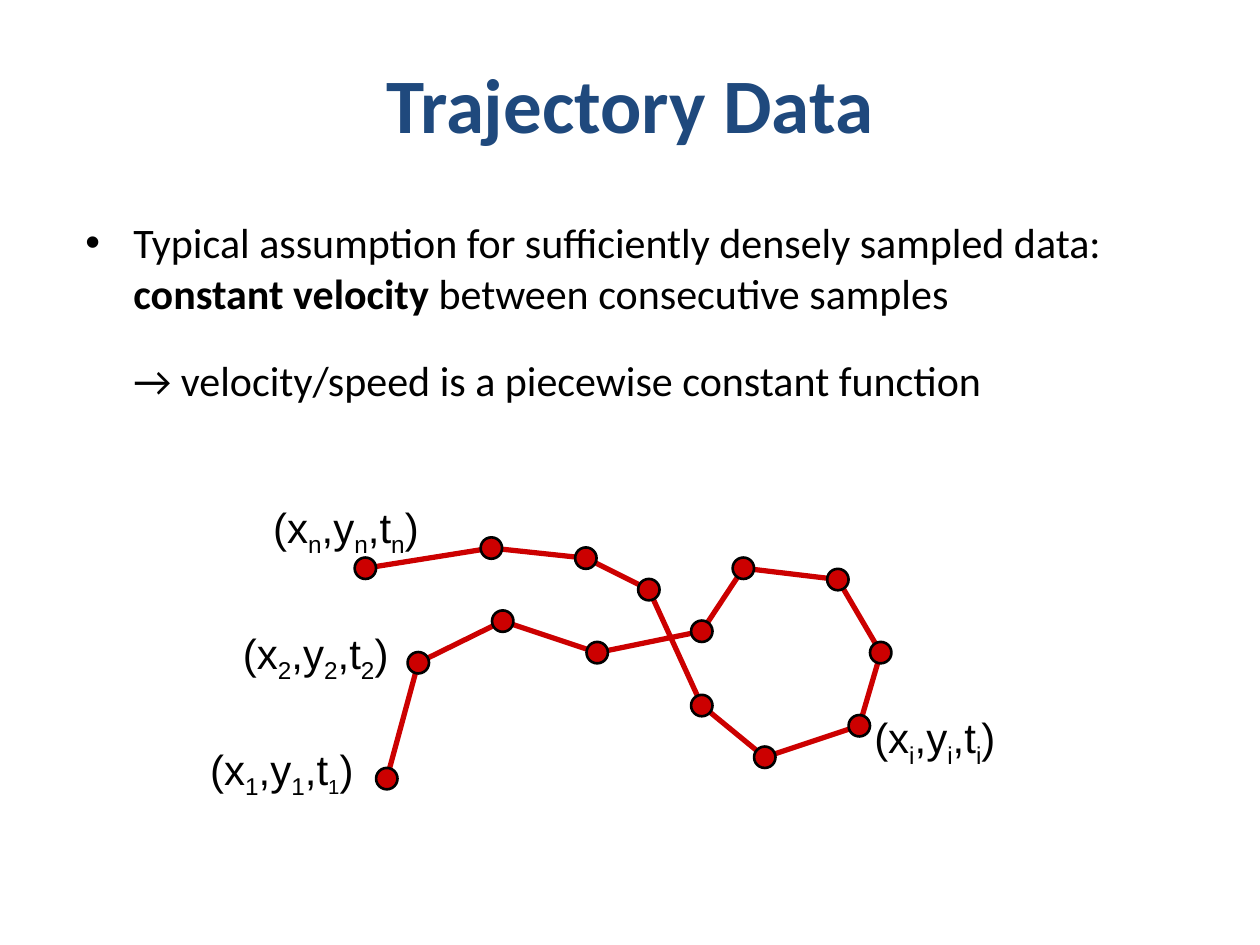
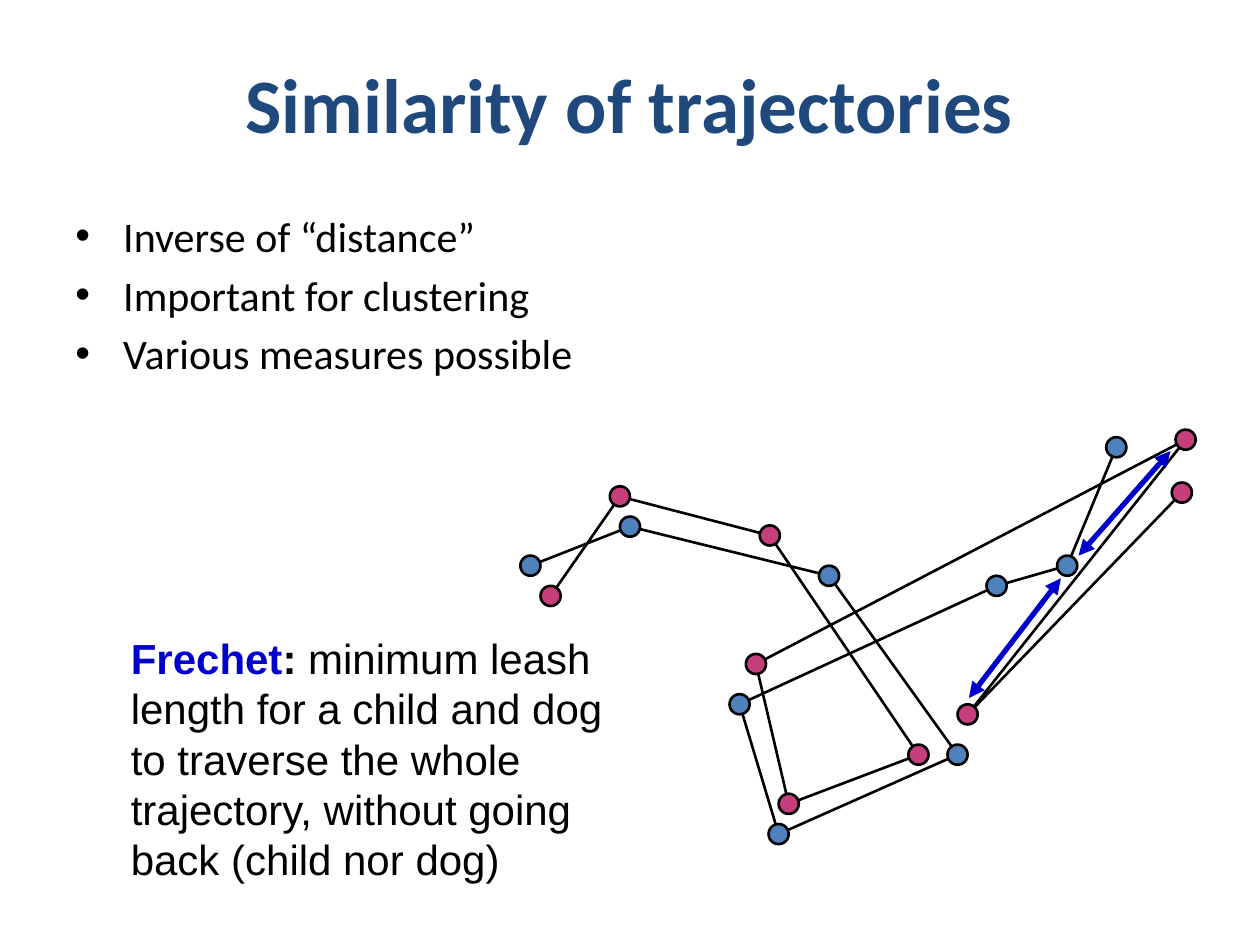
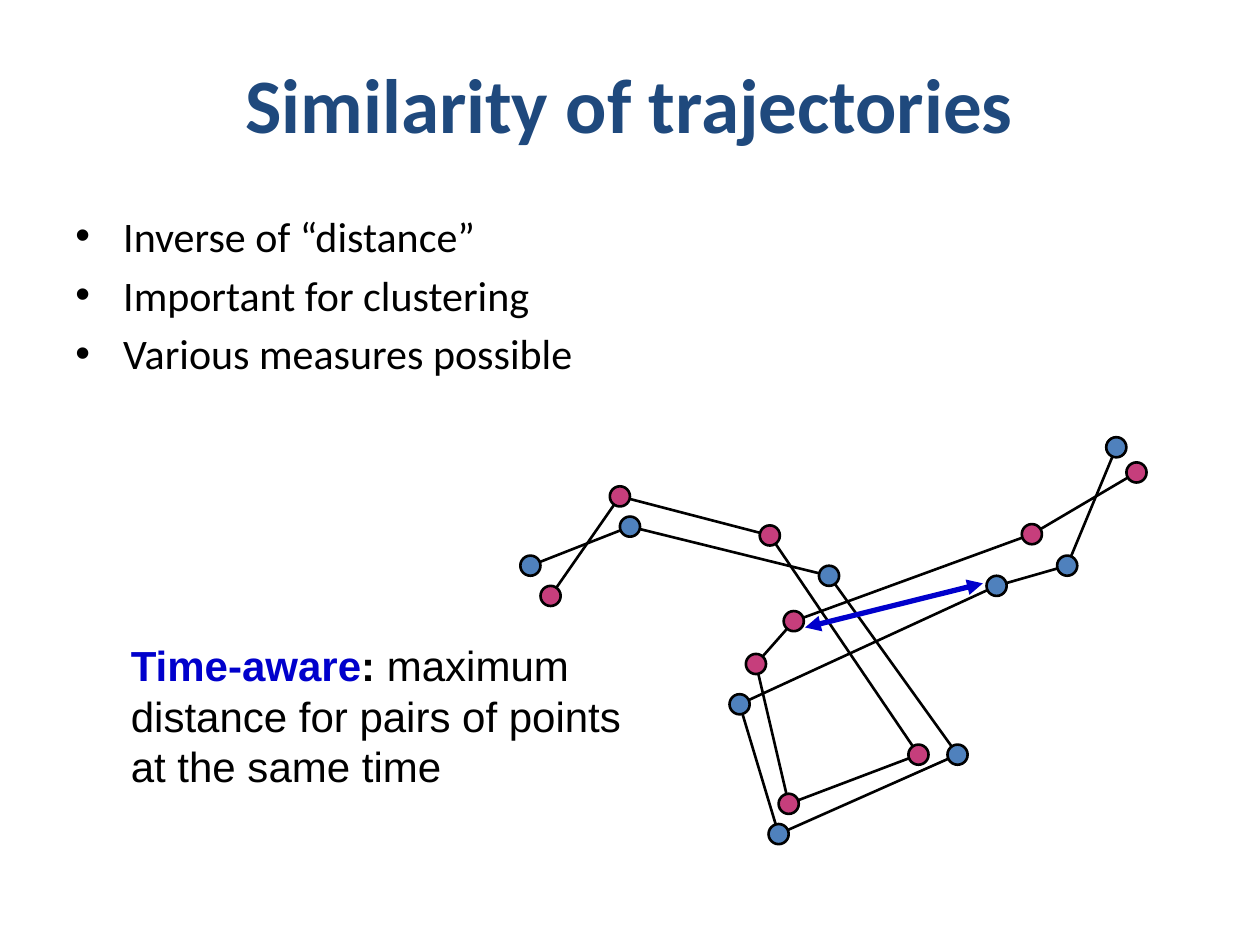
"""Build three slides on trajectory data and trajectory similarity."""
from pptx import Presentation
from pptx.dml.color import RGBColor
from pptx.enum import shapes, text
from pptx.oxml import ns
from pptx.util import Inches, Pt
from lxml import etree

NAVY, BLACK, RED = "1F497D", "000000", "CC0000"
BLUE, PINK, ACCENT = "4F81BD", "C63E7C", "0000CC"
HEADING, LABEL = "Calibri", "Arial"
BODY_SIZE, INDENT = 24, 0.38
SIMILARITY = ["Inverse of “distance”", "Important for clustering",
              "Various measures possible"]

SAMPLES = [(3.07, 6.18), (3.32, 5.26), (3.99, 4.93), (4.74, 5.18), (5.57, 5.01),
           (5.9, 4.51), (6.65, 4.6), (6.99, 5.18), (6.82, 5.76), (6.07, 6.01),
           (5.57, 5.6), (5.15, 4.68), (4.65, 4.43), (3.9, 4.35), (2.9, 4.51)]
CHILD = [(4.21, 4.49), (5, 4.18), (6.58, 4.57), (7.6, 5.99), (6.18, 6.62),
         (5.87, 5.59), (7.91, 4.65), (8.47, 4.49), (8.86, 3.55)]
DOG_START = [(4.37, 4.73), (4.92, 3.94), (6.11, 4.25), (7.29, 5.99),
             (6.26, 6.38), (6, 5.27)]
DOG_FRECHET = DOG_START + [(9.41, 3.49), (7.68, 5.67), (9.38, 3.91)]
DOG_TIMED = DOG_START + [(6.3, 4.93), (8.19, 4.24), (9.02, 3.75)]


def rgb(color):
    """Turn a hex string into a colour."""
    return RGBColor.from_string(color)


def style(font, name, size, color=BLACK, bold=False):
    """Format a font."""
    font.name, font.size, font.bold = name, Pt(size), bold
    font.color.rgb = rgb(color)


def outline(sp, color, width):
    """Set the line of a shape or connector."""
    sp.line.color.rgb = rgb(color)
    sp.line.width = Pt(width)


def add_run(p, words, name, color=BLACK, bold=False):
    """Append a formatted run and return it."""
    r = p.add_run()
    r.text = words
    style(r.font, name, BODY_SIZE, color, bold)
    return r


def add_slide(prs, title):
    """Add a title-only slide with the shared title style."""
    s = prs.slides.add_slide(prs.slide_layouts[5])
    sp = s.shapes.title
    sp.left, sp.top, sp.width, sp.height = map(Inches, (0.5, 0.3, 9, 1.03))
    tf = sp.text_frame
    tf.text = title
    tf.auto_size = text.MSO_AUTO_SIZE.NONE
    tf.vertical_anchor = text.MSO_ANCHOR.MIDDLE
    p = tf.paragraphs[0]
    p.alignment = text.PP_ALIGN.CENTER
    style(p.runs[0].font, HEADING, 44, NAVY, True)
    return s


def add_text(s, box, wrap=True):
    """Add an empty text box and return its frame."""
    tf = s.shapes.add_textbox(*map(Inches, box)).text_frame
    tf.word_wrap = wrap
    return tf


def add_bullets(s, box, items):
    """Add bulleted paragraphs, each a list of (words, bold) runs."""
    tf = add_text(s, box)
    for i, runs in enumerate(items):
        p = tf.add_paragraph() if i else tf.paragraphs[0]
        pPr = p._p.get_or_add_pPr()
        pPr.set("marL", str(Inches(INDENT)))
        pPr.set("indent", str(-Inches(INDENT)))
        etree.SubElement(pPr, ns.qn("a:buFont"), typeface=LABEL)
        etree.SubElement(pPr, ns.qn("a:buChar"), char="•")
        if i:
            p.space_before = Pt(4.8)
        for words, bold in runs:
            add_run(p, words, HEADING, bold=bold)
    return tf


def add_conclusion(tf, words):
    """Add an unbulleted paragraph aligned with the bullet text."""
    p = tf.add_paragraph()
    p._p.get_or_add_pPr().set("marL", str(Inches(INDENT)))
    p.space_before = Pt(21)
    add_run(p, words, HEADING)


def add_sample_label(s, box, index, last_size=BODY_SIZE):
    """Label a sample as (x,y,t) with a subscript index."""
    p = add_text(s, box, wrap=False).paragraphs[0]
    for words in ("(x", ",y", ",t"):
        add_run(p, words, LABEL)
        r = add_run(p, index, LABEL)
        r.font._element.set("baseline", "-25000")
    r.font.size = Pt(last_size)
    add_run(p, ")", LABEL)


def add_definition(s, box, term, lines):
    """Explain a highlighted term, one paragraph a line."""
    tf = add_text(s, box)
    p = tf.paragraphs[0]
    add_run(p, term, LABEL, ACCENT, True)
    add_run(p, ":", LABEL, bold=True)
    add_run(p, " " + lines[0], LABEL)
    for line in lines[1:]:
        add_run(tf.add_paragraph(), line, LABEL)


def add_trajectory(s, points, fill, size=0.16, color=BLACK, width=1.5):
    """Draw a polyline with a dot on each sample."""
    corners = [(Inches(x), Inches(y)) for x, y in points]
    builder = s.shapes.build_freeform(*corners[0])
    builder.add_line_segments(corners[1:], close=False)
    route = builder.convert_to_shape()
    route.shadow.inherit = False
    route.fill.background()
    outline(route, color, width)
    for x, y in points:
        box = (x - size / 2, y - size / 2, size, size)
        dot = s.shapes.add_shape(shapes.MSO_SHAPE.OVAL, *map(Inches, box))
        dot.shadow.inherit = False
        dot.fill.solid()
        dot.fill.fore_color.rgb = rgb(fill)
        outline(dot, BLACK, 1.5)


def add_leash(s, *ends):
    """Draw a double-headed arrow between two points."""
    leash = s.shapes.add_connector(shapes.MSO_CONNECTOR.STRAIGHT,
                                   *map(Inches, ends))
    outline(leash, ACCENT, 3)
    ln = leash.line._get_or_add_ln()
    for end in ("a:headEnd", "a:tailEnd"):
        etree.SubElement(ln, ns.qn(end), type="triangle")
    etree.SubElement(leash._element.spPr, ns.qn("a:effectLst"))


def add_similarity_slide(prs, dog):
    """Add a slide comparing the child's and the dog's trajectories."""
    s = add_slide(prs, "Similarity of trajectories")
    add_bullets(s, (0.5, 1.62, 9, 2), [[(item, False)] for item in SIMILARITY])
    add_trajectory(s, CHILD, BLUE)
    add_trajectory(s, dog, PINK)
    return s


def main():
    """Build and save the slides."""
    prs = Presentation()
    prs.slide_width, prs.slide_height = Inches(10), Inches(7.5)

    s = add_slide(prs, "Trajectory Data")
    tf = add_bullets(s, (0.58, 1.67, 8.75, 1.58), [[
        ("Typical assumption for sufficiently densely sampled data: ", False),
        ("constant velocity ", True),
        ("between consecutive samples", False)]])
    add_conclusion(tf, "→ velocity/speed is a piecewise constant function")
    add_trajectory(s, SAMPLES, RED, 0.17, RED, 3)
    add_sample_label(s, (6.84, 5.6, 1.18, 0.5), "i")
    add_sample_label(s, (1.83, 4.93, 1.4, 0.5), "2")
    add_sample_label(s, (1.57, 5.85, 1.43, 0.5), "1", last_size=20)
    add_sample_label(s, (2.07, 3.93, 1.4, 0.5), "n")

    s = add_similarity_slide(prs, DOG_FRECHET)
    add_definition(s, (0.94, 4.97, 4, 2.1), "Frechet", [
        "minimum leash", "length for a child and dog", "to traverse the whole",
        "trajectory, without going back (child nor dog)"])
    add_leash(s, 7.69, 5.54, 8.42, 4.59)
    add_leash(s, 8.56, 4.41, 9.29, 3.58)

    s = add_similarity_slide(prs, DOG_TIMED)
    add_leash(s, 6.39, 4.98, 7.8, 4.63)
    add_definition(s, (0.94, 5.03, 4.15, 1.3), "Time-aware", [
        "maximum distance for pairs of points at the same time"])

    prs.save("out.pptx")


if __name__ == "__main__":
    main()
